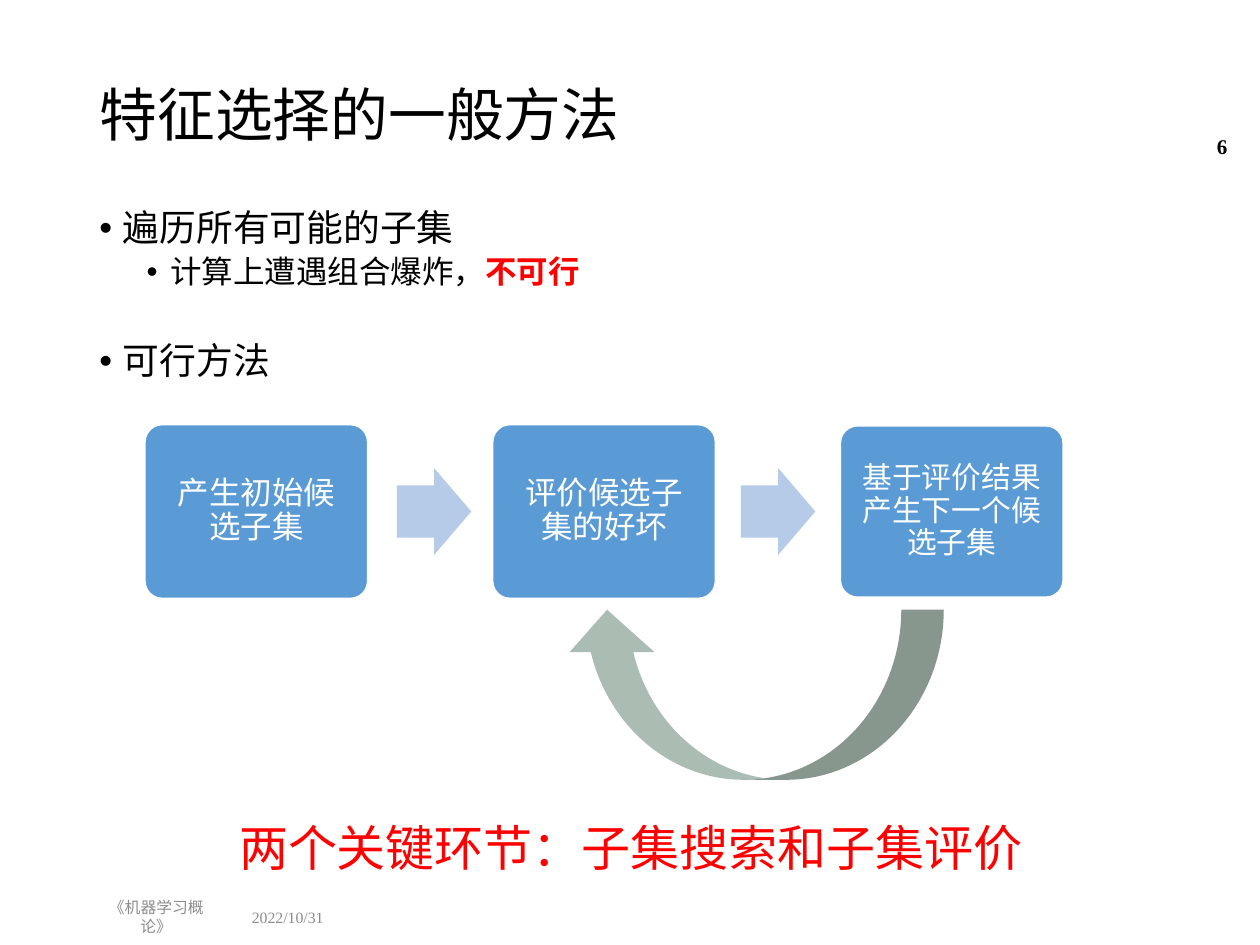
import pptx
import pptx.util
import pptx.dml.color
import pptx.enum.shapes
import pptx.enum.text
import pptx.oxml
import pptx.oxml.ns

Pt = pptx.util.Pt
Kind = pptx.enum.shapes.MSO_SHAPE
Align = pptx.enum.text.PP_ALIGN
Mid = pptx.enum.text.MSO_ANCHOR.MIDDLE
SERIF, SANS = "Times New Roman", "Noto Sans CJK SC"


def color(code):
    return pptx.dml.color.RGBColor.from_string(code)


def add_run(para, text, size, code="000000", bold=False, face=SERIF):
    run = para.add_run()
    run.text = text
    font = run.font
    font.size, font.bold, font.name = Pt(size), bold, face
    font.color.rgb = color(code)
    east = pptx.oxml.parse_xml(
        f'<a:ea {pptx.oxml.ns.nsdecls("a")} typeface="{SANS}"/>')
    run.font.element.find(pptx.oxml.ns.qn("a:latin")).addnext(east) \
        if hasattr(font, "element") else \
        run._r.rPr.find(pptx.oxml.ns.qn("a:latin")).addnext(east)


def add_box(slide, box, anchor=None):
    frame = slide.shapes.add_textbox(*map(Pt, box)).text_frame
    frame.word_wrap = True
    if anchor is not None:
        frame.vertical_anchor = anchor
    return frame


def add_form(slide, kind, box, fill, line=None):
    form = slide.shapes.add_shape(kind, *map(Pt, box))
    form.shadow.inherit = False
    form.fill.solid()
    form.fill.fore_color.rgb = color(fill)
    if line:
        form.line.color.rgb = color(line)
        form.line.width = Pt(1)
    else:
        form.line.fill.background()
    return form


def add_title(slide, box, text):
    title = slide.shapes.title
    title.left, title.top, title.width, title.height = map(Pt, box)
    frame = title.text_frame
    frame.auto_size = pptx.enum.text.MSO_AUTO_SIZE.NONE
    frame.vertical_anchor = Mid
    para = frame.paragraphs[0]
    para.alignment, para.line_spacing = Align.LEFT, 0.9
    add_run(para, text, 33)


def add_list(slide, box, items):
    frame = add_box(slide, box)
    for i, (level, gap, runs) in enumerate(items):
        para = frame.paragraphs[0] if i == 0 else frame.add_paragraph()
        para.level, para.line_spacing = level, 0.9
        para.space_before = Pt(gap)
        props = para._p.get_or_add_pPr()
        props.set("marL", str(Pt(13.5 + 27 * level)))
        props.set("indent", str(-Pt(13.5)))
        space = pptx.oxml.ns.nsdecls("a")
        props.append(pptx.oxml.parse_xml(
            f'<a:buFont {space} typeface="Arial"/>'))
        props.append(pptx.oxml.parse_xml(f'<a:buChar {space} char="•"/>'))
        for text, code, bold in runs:
            add_run(para, text, 18 if level else 21, code, bold)


def add_flow(slide, box, steps):
    left, top, width, height = box
    wide, tip, tall = 127.4, 42.5, 49.7
    pitch = (width - wide) / (len(steps) - 1)
    for i, (text, size, trim) in enumerate(steps):
        spot = (left + i * pitch, top + trim, wide, height - 2 * trim)
        step = add_form(slide, Kind.ROUNDED_RECTANGLE, spot,
                        "5B9BD5", "FFFFFF")
        step.adjustments[0] = 0.1
        frame = step.text_frame
        frame.word_wrap, frame.vertical_anchor = True, Mid
        frame.margin_left = frame.margin_right = Pt(8)
        frame.margin_top = frame.margin_bottom = Pt(8)
        para = frame.paragraphs[0]
        para.alignment, para.line_spacing = Align.CENTER, 0.9
        add_run(para, text, size, "FFFFFF")
    for x in (144, 340.6):
        spot = (left + x, top + (height - tall) / 2, tip, tall)
        arrow = add_form(slide, Kind.RIGHT_ARROW, spot, "B5CBE7")
        arrow.adjustments[0], arrow.adjustments[1] = 0.6, 0.5


def add_loop(slide, box):
    left, top, width, height = box
    spot = (left + (width - height) / 2, top + (height - width) / 2,
            height, width)
    loop = add_form(slide, Kind.CURVED_LEFT_ARROW, spot, "ABBDB2")
    loop.rotation = 90


def add_note(slide, box, text):
    frame = add_box(slide, box)
    add_run(frame.paragraphs[0], text, 28, "FF0000", face=SANS)


def add_mark(slide, box, text, align, size=9, code="8C8C8C", bold=False):
    para = add_box(slide, box, Mid).paragraphs[0]
    para.alignment = align
    add_run(para, text, size, code, bold)


def main():
    deck = pptx.Presentation()
    deck.slide_width, deck.slide_height = Pt(720), Pt(540)
    slide = deck.slides.add_slide(deck.slide_layouts[5])
    add_title(slide, (49.7, 28.8, 620.6, 77), "特征选择的一般方法")
    add_list(slide, (49.7, 116.6, 620.6, 388), [
        (0, 0, [("遍历所有可能的子集", "000000", False)]),
        (1, 3.8, [("计算上遭遇组合爆炸，", "000000", False),
                  ("不可行", "FF0000", True)]),
        (0, 30, [("可行方法", "000000", False)]),
    ])
    add_mark(slide, (136.8, 513.4, 65.5, 20.9), "2022/10/31", Align.LEFT)
    add_mark(slide, (49.7, 513.4, 79.2, 20.9), "《机器学习概论》",
             Align.CENTER)
    add_mark(slide, (658.8, 69.1, 49.7, 28.8), "6", Align.RIGHT,
             12, "000000", True)
    add_loop(slide, (322.6, 348.4, 216.7, 97.2))
    add_note(slide, (129.6, 463.7, 475.2, 41), "两个关键环节：子集搜索和子集评价")
    add_flow(slide, (82.8, 242.6, 524.8, 99.4), [
        ("产生初始候选子集", 18, 0),
        ("评价候选子集的好坏", 18, 0),
        ("基于评价结果产生下一个候选子集", 17, 0.7),
    ])
    deck.save("out.pptx")


if __name__ == "__main__":
    main()
